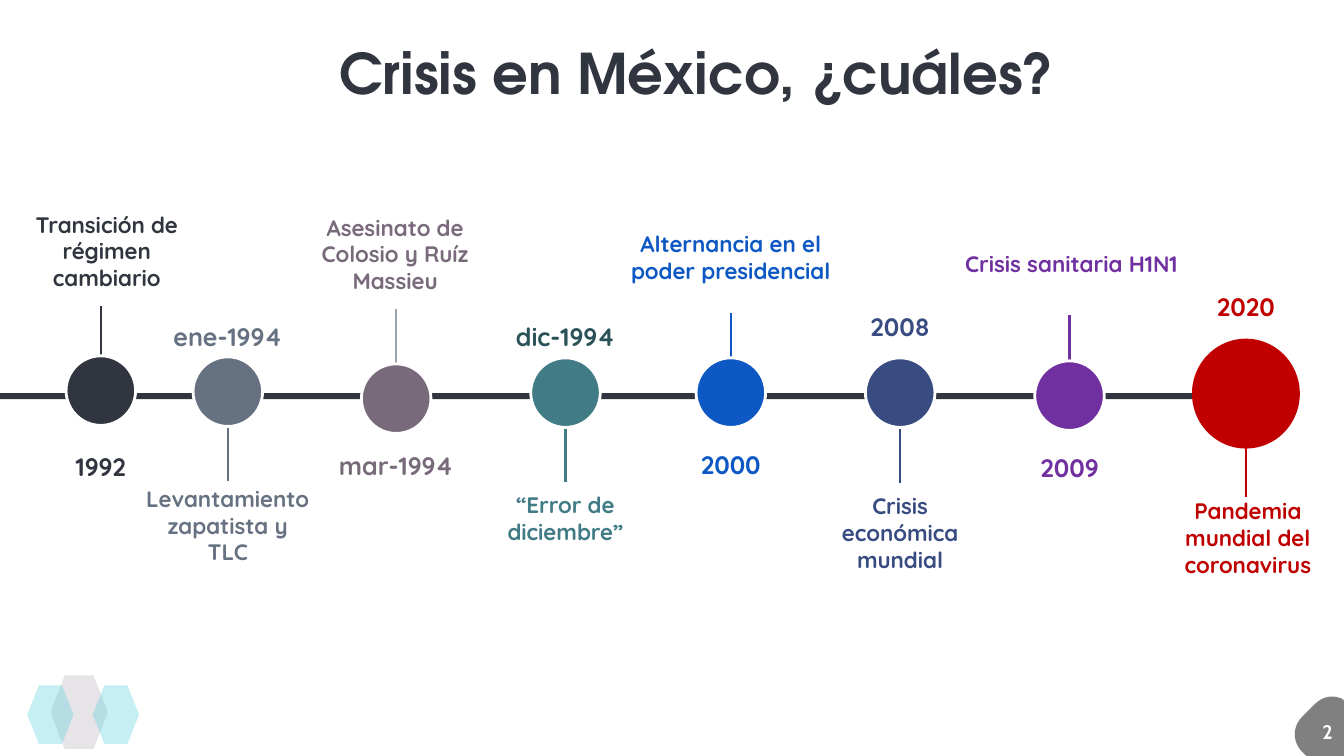
from lxml import etree
from pptx import Presentation, util as u
from pptx.dml.color import RGBColor
from pptx.enum import shapes, text
from pptx.oxml.ns import qn

INK = RGBColor(0x30, 0x35, 0x3F)
SLATE = RGBColor(0x66, 0x71, 0x81)
MIST = RGBColor(0x98, 0xA3, 0xAD)
MAUVE = RGBColor(0x78, 0x69, 0x7B)
TEAL = RGBColor(0x41, 0x7B, 0x85)
DEEP_TEAL = RGBColor(0x2B, 0x52, 0x59)
BLUE = RGBColor(0x0E, 0x58, 0xC4)
NAVY = RGBColor(0x38, 0x4C, 0x81)
PURPLE = RGBColor(0x70, 0x30, 0xA0)
RED = RGBColor(0xC0, 0x00, 0x00)
GRAY = RGBColor(0x80, 0x80, 0x80)
AQUA = RGBColor(0x43, 0xCD, 0xD9)
LILAC = RGBColor(0xC4, 0xBC, 0xC6)
WHITE = RGBColor(0xFF, 0xFF, 0xFF)

# The slide is a grid of square cells, a tenth of an inch each
CELL = u.Inches(0.1)
COLUMNS, ROWS = 133.33, 75


def grid(*cells):
    return [u.Emu(round(cell * CELL)) for cell in cells]


def write(shape, words, font_name, size, color, wrap=True, align=text.PP_ALIGN.CENTER):
    frame = shape.text_frame
    frame.margin_left = frame.margin_right = frame.margin_top = frame.margin_bottom = 0
    frame.word_wrap = wrap
    frame.auto_size = text.MSO_AUTO_SIZE.NONE
    frame.vertical_anchor = text.MSO_ANCHOR.TOP
    paragraph = frame.paragraphs[0]
    paragraph.alignment = align
    run = paragraph.add_run()
    run.text = words
    run.font.name, run.font.size, run.font.bold = font_name, u.Pt(size), True
    run.font.color.rgb = color


presentation = Presentation()
presentation.slide_width, presentation.slide_height = grid(COLUMNS, ROWS)
slide = presentation.slides.add_slide(presentation.slide_layouts[5])

# Title
title = slide.shapes.title
title.left, title.top, title.width, title.height = grid(30.2, 3.8, 77.8, 6.7)
write(title, "Crisis en México, ¿cuáles?", "TeX Gyre Adventor", 40, INK)

# Time axis
axis = slide.shapes.add_shape(shapes.MSO_SHAPE.RECTANGLE, *grid(0, 39, 120.6, 0.6))
axis.shadow.inherit = False
axis.fill.solid()
axis.fill.fore_color.rgb = INK
axis.line.fill.background()

# Events: date, label, colours of dot, stem and date; centre, dot top, dot width,
# dot height, stem top, date top; label centre, top, width and number of lines
DOT = 6.9
STEM = 7.7
LINE = 2.7
events = [
    ("1992", "Transición de régimen cambiario", INK, INK, INK,
     10, 35.3, DOT, DOT, 30.4, 44.8, 10.6, 20.9, 17.1, 3),
    ("ene-1994", "Levantamiento zapatista y TLC", SLATE, SLATE, SLATE,
     22.6, 35.4, DOT, DOT, 40, 31.9, 22.6, 48.1, 16.3, 3),
    ("mar-1994", "Asesinato de Colosio y Ruíz Massieu", MAUVE, MIST, MAUVE,
     39.3, 36.1, DOT, DOT, 30.7, 44.7, 39.2, 21.2, 17, 3),
    ("dic-1994", "“Error de diciembre”", TEAL, TEAL, DEEP_TEAL,
     56.1, 35.5, DOT, DOT, 40.1, 31.9, 56.1, 48.7, 16.3, 2),
    ("2000", "Alternancia en el poder presidencial", BLUE, BLUE, BLUE,
     72.5, 35.5, DOT, DOT, 31.1, 44.6, 72.5, 22.8, 22.4, 2),
    ("2008", "Crisis económica mundial", NAVY, NAVY, NAVY,
     89.3, 35.5, DOT, DOT, 40.2, 30.9, 89.3, 48.8, 16.3, 3),
    ("2009", "Crisis sanitaria H1N1", PURPLE, PURPLE, PURPLE,
     106.1, 35.8, DOT, DOT, 31.3, 44.9, 106.3, 24.8, 22.4, 2),
    ("2020", "Pandemia mundial del coronavirus", RED, RED, RED,
     123.6, 33.6, 10.7, 10.9, 41.6, 28.9, 123.8, 49.3, 16.3, 3),
]
for (date, label, dot_color, stem_color, date_color, center, dot_top, dot_width,
     dot_height, stem_top, date_top, label_center, label_top, label_width, lines) in events:
    stem = slide.shapes.add_connector(
        shapes.MSO_CONNECTOR.STRAIGHT, *grid(center, stem_top, center, stem_top + STEM))
    stem.line.color.rgb = stem_color
    stem.line.width = u.Pt(1.5)
    etree.SubElement(stem._element.spPr, qn("a:effectLst"))

    dot = slide.shapes.add_shape(
        shapes.MSO_SHAPE.OVAL,
        *grid(center - dot_width / 2, dot_top, dot_width, dot_height))
    dot.shadow.inherit = False
    dot.fill.solid()
    dot.fill.fore_color.rgb = dot_color
    if dot_width == DOT:
        dot.line.color.rgb = WHITE
        dot.line.width = u.Pt(2)
    else:
        dot.line.fill.background()

    date_width = 6 if len(date) == 4 else 11.4
    date_box = slide.shapes.add_textbox(
        *grid(center - date_width / 2, date_top, date_width, 3))
    write(date_box, date, "Quicksand", 18, date_color, wrap=False)
    label_box = slide.shapes.add_textbox(
        *grid(label_center - label_width / 2, label_top, label_width, lines * LINE))
    write(label_box, label, "Quicksand", 16, dot_color)

# Translucent hexagons
for left, top, width, height, color, opacity in [
    (5, 67, 5.7, 7.3, LILAC, 40),
    (9.2, 68, 4.6, 5.8, AQUA, 30),
    (2.7, 68, 4.6, 5.8, AQUA, 30),
]:
    hexagon = slide.shapes.add_shape(
        shapes.MSO_SHAPE.HEXAGON, *grid(left, top, width, height))
    hexagon.shadow.inherit = False
    hexagon.fill.solid()
    hexagon.fill.fore_color.rgb = color
    hexagon.line.fill.background()
    fill_color = hexagon._element.spPr.find(qn("a:solidFill"))[0]
    etree.SubElement(fill_color, qn("a:alpha"), val=str(opacity * 1000))

# Page number tab: rounded corners are Bézier curves sampled in short steps
STEPS = 12
corners = [
    [(132.2, 69.1), (132.5, 69.1), (132.8, 69.2), (133.1, 69.3)],
    [(129.2, 74.6), (128.2, 73.6), (128.2, 72.1), (129.2, 71.1)],
    [(130.4, 69.9), (130.9, 69.4), (131.5, 69.1), (132.2, 69.1)],
]
curves = []
for corner in corners:
    curve = []
    for step in range(STEPS + 1):
        t = step / STEPS
        weights = [(1 - t) ** 3, 3 * t * (1 - t) ** 2, 3 * t ** 2 * (1 - t), t ** 3]
        curve.append(grid(*(sum(w * point[axis_index] for w, point in zip(weights, corner))
                            for axis_index in (0, 1))))
    curves.append(curve)
edge = [grid(COLUMNS, 69.5), grid(COLUMNS, ROWS), grid(129.6, ROWS)]
outline = curves[0] + edge + curves[1] + curves[2]
builder = slide.shapes.build_freeform(*outline[0])
builder.add_line_segments(outline[1:], close=True)
tab = builder.convert_to_shape()
tab.shadow.inherit = False
tab.fill.solid()
tab.fill.fore_color.rgb = GRAY
tab.line.fill.background()

number = slide.shapes.add_textbox(*grid(131.2, 71.4, 1, 2.4))
write(number, "2", "Cabin", 14, WHITE, wrap=False, align=text.PP_ALIGN.LEFT)

presentation.save("out.pptx")
